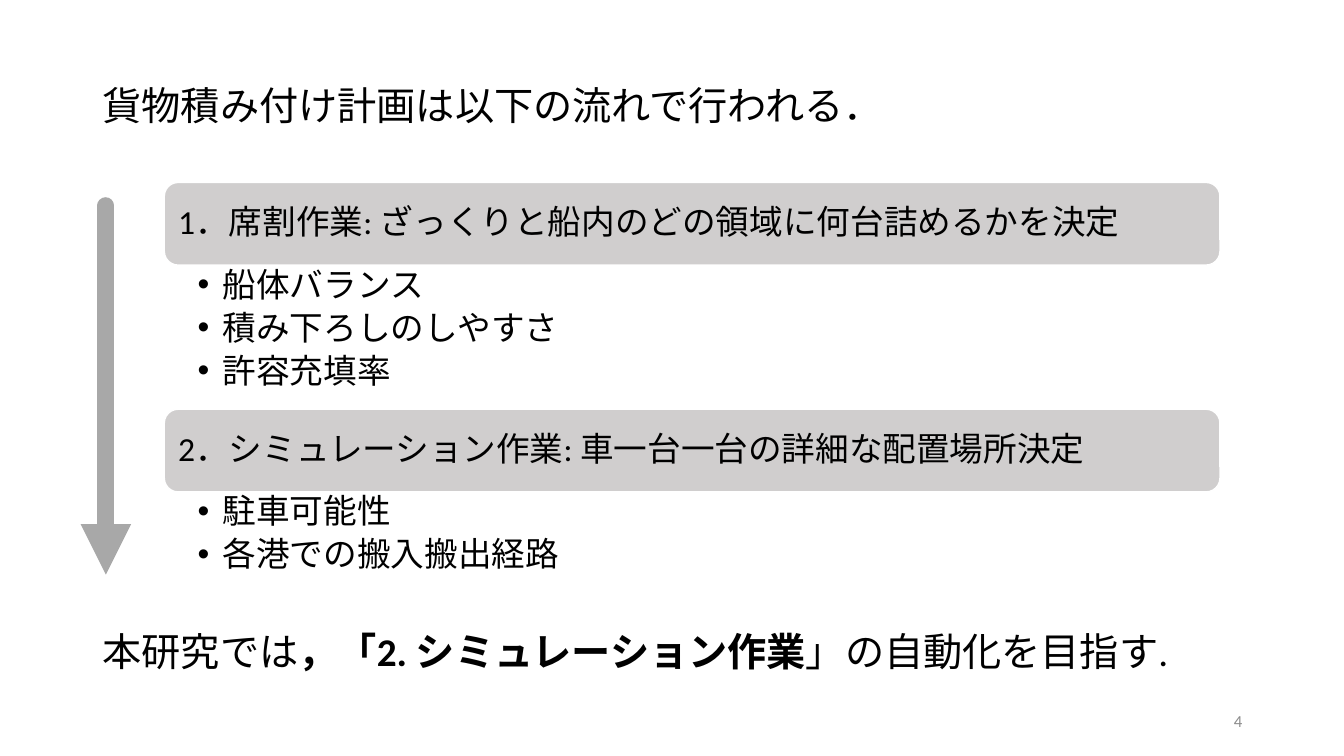
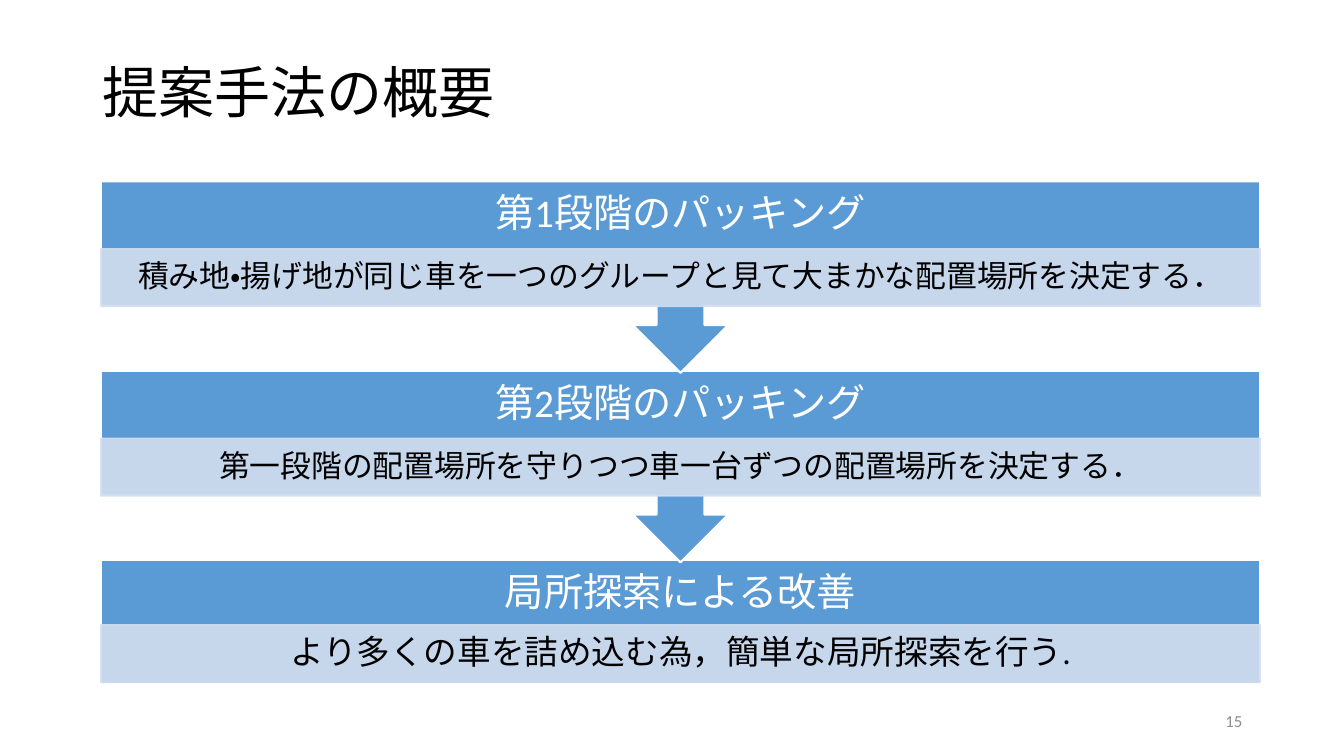
from lxml import etree
from pptx import Presentation
from pptx.dml.color import RGBColor
from pptx.enum.lang import MSO_LANGUAGE_ID
from pptx.enum.shapes import MSO_CONNECTOR, MSO_SHAPE
from pptx.enum.text import MSO_ANCHOR, PP_ALIGN
from pptx.oxml.ns import qn
from pptx.util import Inches, Pt

LEFT, CENTER, RIGHT = PP_ALIGN.LEFT, PP_ALIGN.CENTER, PP_ALIGN.RIGHT
TOP, MIDDLE = MSO_ANCHOR.TOP, MSO_ANCHOR.MIDDLE
ROUND, RECT = MSO_SHAPE.ROUNDED_RECTANGLE, MSO_SHAPE.RECTANGLE
CALLOUT = MSO_SHAPE.DOWN_ARROW_CALLOUT
JAPANESE = MSO_LANGUAGE_ID.JAPANESE

FONT = "Calibri"
BLACK, WHITE, GREY = "000000", "FFFFFF", "8C8C8C"
BAR, ARROW = "D0CECE", "A8A8A8"
BLUE, PALE = "5B9BD5", "D2DEEF"


def write(slide, box, lines, size, color=BLACK, align=LEFT, anchor=TOP,
          pads=(0.1, 0.05), ratio=1.0, gap=0, shape=None):
    """Write lines into a shape or a new text box; *stars* mark bold text."""
    shape = shape or slide.shapes.add_textbox(*map(Inches, box))
    frame = shape.text_frame
    side, edge = map(Inches, pads)
    layout = {"word_wrap": True, "vertical_anchor": anchor,
              "margin_left": side, "margin_right": side,
              "margin_top": edge, "margin_bottom": edge}
    for key, value in layout.items():
        setattr(frame, key, value)
    for n, line in enumerate(lines):
        para = frame.add_paragraph() if n else frame.paragraphs[0]
        para.alignment, para.line_spacing = align, ratio
        para.space_after = Pt(gap)
        for k, part in enumerate(line.split("*")):
            run = para.add_run()
            run.text = part
            style = {"name": FONT, "size": Pt(size), "bold": k % 2 == 1,
                     "language_id": JAPANESE}
            for key, value in style.items():
                setattr(run.font, key, value)
            run.font.color.rgb = RGBColor.from_string(color)
    return frame


def draw(slide, kind, box, fill, line, width, alpha=None):
    """Add a filled, outlined shape; alpha is the opacity in percent."""
    shape = slide.shapes.add_shape(kind, *map(Inches, box))
    shape.shadow.inherit = False
    shape.fill.solid()
    shape.fill.fore_color.rgb = RGBColor.from_string(fill)
    shape.line.color.rgb = RGBColor.from_string(line)
    shape.line.width = Pt(width)
    if alpha:
        for tone in shape.element.spPr.iter(qn("a:srgbClr")):
            etree.SubElement(tone, qn("a:alpha"), val=str(alpha * 1000))
    return shape


deck = Presentation()
deck.slide_width, deck.slide_height = Inches(13.33), Inches(7.5)
flow, plan = [deck.slides.add_slide(deck.slide_layouts[6]) for _ in range(2)]
for slide, page in ((flow, "4"), (plan, "15")):
    write(slide, (9.42, 6.95, 3, 0.4), [page], 12, GREY, RIGHT, MIDDLE)

# Slide 1: the two steps of stowage planning
write(flow, (0.92, 0.76, 10.05, 0.88), ["貨物積み付け計画は以下の流れで行われる．"], 28)
write(flow, (0.92, 6.17, 11.58, 0.57),
      ["本研究では*，「2. シミュレーション作業*」の自動化を目指す."], 28)

STEPS = [
    ("1．席割作業: ざっくりと船内のどの領域に何台詰めるかを決定",
     ["船体バランス", "積み下ろしのしやすさ", "許容充填率"]),
    ("2．シミュレーション作業: 車一台一台の詳細な配置場所決定",
     ["駐車可能性", "各港での搬入搬出経路"]),
]
for n, (head, items) in enumerate(STEPS):
    top = 1.81 + 2.25 * n
    box = (1.63, top, 10.47, 0.82)
    bar = draw(flow, ROUND, box, BAR, WHITE, 1)
    write(flow, box, [head], 24, anchor=MIDDLE, pads=(0.1, 0.1),
          ratio=0.9, shape=bar)
    frame = write(flow, (1.63, top + 0.82, 10.47, 0.48 * len(items)), items, 24,
                  pads=(0.33, 0.03), ratio=0.9, gap=4.8)
    for para in frame.paragraphs:
        props = para._p.get_or_add_pPr()
        props.set("marL", str(Inches(0.25)))
        props.set("indent", str(Inches(-0.25)))
        etree.SubElement(props, qn("a:buFont"), typeface="Arial")
        etree.SubElement(props, qn("a:buChar"), char="•")

arrow = flow.shapes.add_connector(
    MSO_CONNECTOR.STRAIGHT, Inches(1.05), Inches(2.04), Inches(1.05), Inches(5.7))
arrow.line.color.rgb = RGBColor.from_string(ARROW)
arrow.line.width = Pt(12)
stroke = arrow.line._get_or_add_ln()
stroke.set("cap", "rnd")
etree.SubElement(stroke, qn("a:round"))
etree.SubElement(stroke, qn("a:tailEnd"), type="triangle")
etree.SubElement(arrow._element.spPr, qn("a:effectLst"))

# Slide 2: the three stages of the method
write(plan, (0.92, 0.22, 11.5, 1.45), ["提案手法の概要"], 40,
      anchor=MIDDLE, ratio=0.9)

STAGES = [
    ("第1段階のパッキング",
     "積み地・揚げ地が同じ車を一つのグループと見て大まかな配置場所を決定する．",
     CALLOUT, 1.9, 0.67, 22),
    ("第2段階のパッキング",
     "第一段階の配置場所を守りつつ車一台ずつの配置場所を決定する．",
     CALLOUT, 1.9, 0.67, 22),
    ("局所探索による改善", "より多くの車を詰め込む為，簡単な局所探索を行う.",
     RECT, 1.23, 0.64, 24),
]
# The last stage lies at the back, so each arrow tip overlaps the next block
for n, (head, note, kind, high, drop, size) in reversed(list(enumerate(STAGES))):
    top = 1.8 + 1.88 * n
    draw(plan, kind, (1, top, 11.5, high), BLUE, WHITE, 1.5)
    write(plan, (1, top, 11.5, 0.67), [head], 28, WHITE, CENTER, MIDDLE,
          pads=(0.22, 0.05), ratio=0.9)
    box = (1, top + drop, 11.5, 0.57)
    band = draw(plan, RECT, box, PALE, PALE, 1, alpha=90)
    write(plan, box, [note], size, align=CENTER, anchor=MIDDLE,
          pads=(0.17, 0.03), ratio=0.9, shape=band)

deck.save("out.pptx")
